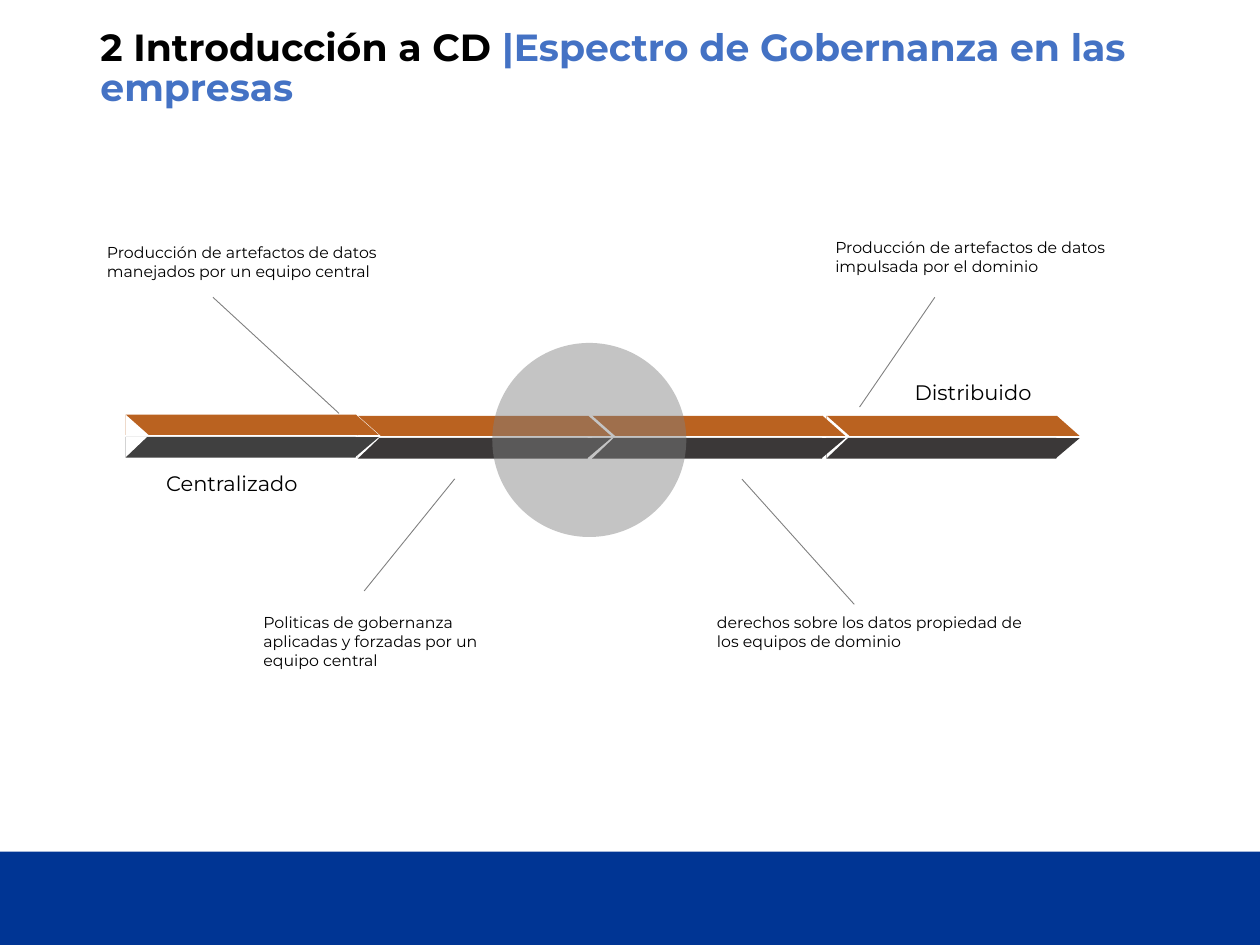
from dataclasses import dataclass

from lxml import etree
from pptx import Presentation
from pptx.dml.color import RGBColor
from pptx.enum import shapes, text
from pptx.oxml import ns
from pptx.util import Pt

BLACK = RGBColor(0x00, 0x00, 0x00)
WHITE = RGBColor(0xFF, 0xFF, 0xFF)
BLUE = RGBColor(0x44, 0x72, 0xC4)
NAVY = RGBColor(0x00, 0x35, 0x94)
RUST = RGBColor(0xBA, 0x62, 0x20)
COAL = RGBColor(0x3B, 0x38, 0x38)
SLATE = RGBColor(0x40, 0x40, 0x40)
GRAY = RGBColor(0x80, 0x80, 0x80)
FONT = "Montserrat"

RECT = shapes.MSO_SHAPE.RECTANGLE
WEDGE = shapes.MSO_SHAPE.RIGHT_TRIANGLE
OVAL = shapes.MSO_SHAPE.OVAL


@dataclass
class Box:
    x: float
    y: float
    w: float
    h: float


@dataclass
class Arrow:
    x: float
    y: float
    dark: RGBColor


@dataclass
class Label:
    words: str
    box: Box
    size: float


@dataclass
class Link:
    x1: float
    y1: float
    x2: float
    y2: float


ARROWS = [
    Arrow(472.3, 237.6, COAL),
    Arrow(338.4, 237.6, COAL),
    Arrow(204.5, 237.6, COAL),
    Arrow(71.8, 237, SLATE),
]
LABELS = [
    Label("Centralizado", Box(87.8, 265.3, 94.3, 21.6), 12),
    Label("Distribuido", Box(515.5, 213.1, 94.3, 21.6), 12),
    Label("Producción de artefactos de datos manejados por un equipo central",
          Box(54, 135, 195.1, 29.5), 9),
    Label("Politicas de gobernanza aplicadas y forzadas por un equipo central",
          Box(143.4, 346.6, 137.5, 40.3), 9),
    Label("Producción de artefactos de datos impulsada por el dominio",
          Box(470.2, 132.2, 195.1, 29.5), 9),
    Label("derechos sobre los datos propiedad de los equipos de dominio",
          Box(402.6, 346.6, 195.1, 29.5), 9),
]
LINKS = [
    Link(121.7, 169.9, 193.7, 236.2),
    Link(208.1, 337.7, 259.9, 273.6),
    Link(534.2, 169.9, 491.2, 232.6),
    Link(488.2, 345.4, 424, 273.8),
]


def place(box: Box) -> tuple:
    return Pt(box.x), Pt(box.y), Pt(box.w), Pt(box.h)


def shape(on, kind, box: Box, color: RGBColor, turn: float = 0):
    item = on.add_shape(kind, *place(box))
    item.shadow.inherit = False
    item.fill.solid()
    item.fill.fore_color.rgb = color
    item.line.fill.background()
    item.rotation = turn
    return item


def arrow(on, spec: Arrow) -> None:
    group = on.add_group_shape().shapes
    x, y = spec.x, spec.y
    shape(group, RECT, Box(x, y + 12.7, 131.4, 11.8), spec.dark)
    shape(group, WEDGE, Box(x + 0.3, y + 12.2, 11.8, 12.4), WHITE, 90)
    shape(group, WEDGE, Box(x + 132, y + 11.7, 11.6, 13.7), spec.dark, 90)
    shape(group, WEDGE, Box(x + 131.6, y, 13, 11.5), RUST)
    shape(group, RECT, Box(x, y, 131.8, 11.5), RUST)
    shape(group, WEDGE, Box(x, y, 13, 11.5), WHITE)


def write(para, words: str, size: float, color: RGBColor, bold: bool = False) -> None:
    run = para.add_run()
    run.text = words
    run.font.name = FONT
    run.font.size = Pt(size)
    run.font.bold = bold
    run.font.color.rgb = color


def label(on, spec: Label) -> None:
    frame = on.add_textbox(*place(spec.box)).text_frame
    frame.word_wrap = True
    frame.auto_size = text.MSO_AUTO_SIZE.SHAPE_TO_FIT_TEXT
    write(frame.paragraphs[0], spec.words, spec.size, BLACK)


def link(on, spec: Link) -> None:
    line = on.add_connector(shapes.MSO_CONNECTOR.STRAIGHT, Pt(spec.x1), Pt(spec.y1),
                            Pt(spec.x2), Pt(spec.y2))
    line.line.color.rgb = GRAY
    line.line.width = Pt(0.5)
    etree.SubElement(line._element.spPr, ns.qn("a:effectLst"))


def head(title) -> None:
    title.left, title.top, title.width, title.height = place(Box(50.2, 18.4, 620.6, 42.5))
    frame = title.text_frame
    frame.word_wrap = True
    frame.auto_size = text.MSO_AUTO_SIZE.NONE
    frame.vertical_anchor = text.MSO_ANCHOR.MIDDLE
    para = frame.paragraphs[0]
    para.alignment = text.PP_ALIGN.LEFT
    para.line_spacing = 0.9
    write(para, "2 Introducción a CD ", 21.6, BLACK, True)
    write(para, "|Espectro de Gobernanza en las empresas", 21.6, BLUE, True)


def main() -> None:
    deck = Presentation()
    deck.slide_width, deck.slide_height = Pt(720), Pt(540)
    slide = deck.slides.add_slide(deck.slide_layouts[5])
    on = slide.shapes
    head(on.title)
    shape(on, RECT, Box(0, 486.7, 720, 53.3), NAVY)
    for spec in ARROWS:
        arrow(on, spec)
    for spec in LABELS:
        label(on, spec)
    for spec in LINKS:
        link(on, spec)
    disc = shape(on, OVAL, Box(281.3, 196, 110.9, 110.9), GRAY)
    tint = disc._element.spPr.find(".//" + ns.qn("a:srgbClr"))
    etree.SubElement(tint, ns.qn("a:alpha"), val="46000")
    deck.save("out.pptx")


if __name__ == "__main__":
    main()
